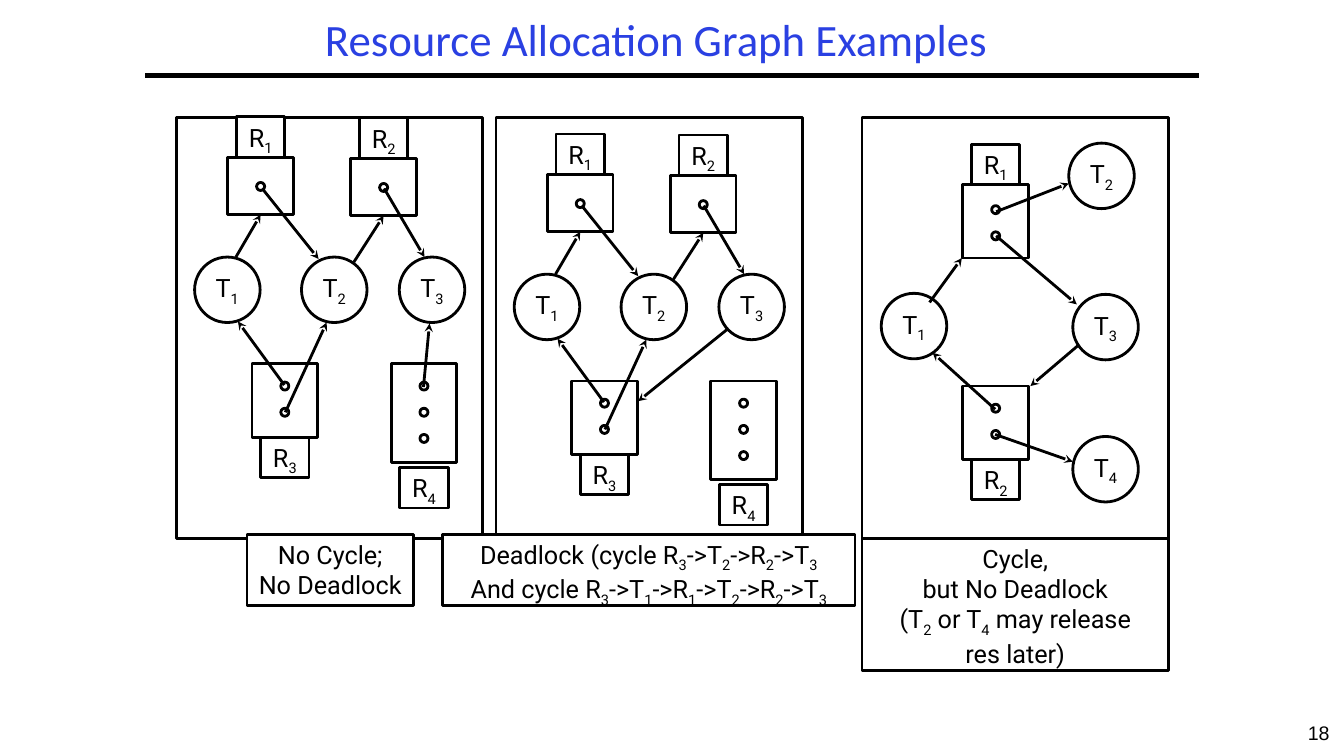
from pptx import Presentation
from pptx.dml.color import RGBColor
from pptx.enum.shapes import MSO_CONNECTOR, MSO_SHAPE
from pptx.enum.text import MSO_ANCHOR, MSO_AUTO_SIZE, PP_ALIGN
from pptx.oxml.ns import qn
from pptx.util import Inches, Pt
from lxml.etree import SubElement

BLACK = RGBColor(0, 0, 0)
WHITE = RGBColor(255, 255, 255)
TITLE_BLUE = RGBColor(0x2A, 0x40, 0xE2)

PANEL_TOP, PANEL_WIDTH, PANEL_HEIGHT = 1.17, 3.04, 4.17
NODE_SIZE = 0.65
DOT_SIZE, DOT_GAP = 0.08, 0.26
LABEL_WIDTH, LABEL_HEIGHT = 0.48, 0.4


def write_text(shape, text, font="Roboto", size=18, color=BLACK,
               anchor=MSO_ANCHOR.TOP, wrap=False, grow=False, spacing=None):
    """Fill a shape with centred lines; the character after "_" is a subscript."""
    frame = shape.text_frame
    frame.word_wrap = wrap
    frame.vertical_anchor = anchor
    frame.auto_size = MSO_AUTO_SIZE.SHAPE_TO_FIT_TEXT if grow else MSO_AUTO_SIZE.NONE
    for index, line in enumerate(text.split("\n")):
        paragraph = frame.paragraphs[0] if index == 0 else frame.add_paragraph()
        paragraph.alignment = PP_ALIGN.CENTER
        if spacing:
            paragraph.line_spacing = spacing
        plain, *subscripted = line.split("_")
        pieces = [(plain, False)]
        for piece in subscripted:
            pieces += [(piece[0], True), (piece[1:], False)]
        for words, is_subscript in pieces:
            if not words:
                continue
            run = paragraph.add_run()
            run.text = words
            run.font.name = font
            run.font.size = Pt(size)
            run.font.color.rgb = color
            if is_subscript:
                run._r.get_or_add_rPr().set("baseline", "-25000")


def draw_line(shapes, start, end, width=2, arrow=False):
    line = shapes.add_connector(MSO_CONNECTOR.STRAIGHT,
                                *(Inches(v) for v in (*start, *end)))
    line.line.color.rgb = BLACK
    line.line.width = Pt(width)
    if arrow:
        SubElement(line.line._get_or_add_ln(), qn("a:tailEnd"), type="stealth")
    SubElement(line._element.spPr, qn("a:effectLst"))
    return line


class GraphPanel:
    """A framed allocation graph; all positions are relative to its corner."""

    def __init__(self, slide, left, rise=0):
        self.shapes = slide.shapes.add_group_shape().shapes
        self.left, self.top = left, PANEL_TOP
        self.outline(MSO_SHAPE.RECTANGLE, 0, 0, PANEL_WIDTH, PANEL_HEIGHT)
        self.top += rise

    def outline(self, kind, x, y, width, height):
        shape = self.shapes.add_shape(kind, Inches(self.left + x), Inches(self.top + y),
                                      Inches(width), Inches(height))
        shape.shadow.inherit = False
        shape.fill.solid()
        shape.fill.fore_color.rgb = WHITE
        shape.line.color.rgb = BLACK
        shape.line.width = Pt(2)
        return shape

    def thread(self, name, x, y):
        circle = self.outline(MSO_SHAPE.OVAL, x, y, NODE_SIZE, NODE_SIZE)
        write_text(circle, name, anchor=MSO_ANCHOR.MIDDLE)

    def resource(self, name, x, y, height, label_dy, dots=1, first_dot=0.18):
        box = self.outline(MSO_SHAPE.RECTANGLE, x, y, NODE_SIZE, height)
        for index in range(dots):
            self.outline(MSO_SHAPE.OVAL, x + (NODE_SIZE - DOT_SIZE) / 2,
                         y + first_dot + index * DOT_GAP, DOT_SIZE, DOT_SIZE)
        label = self.outline(MSO_SHAPE.RECTANGLE, x + (NODE_SIZE - LABEL_WIDTH) / 2,
                             y + label_dy, LABEL_WIDTH, LABEL_HEIGHT)
        write_text(label, name, grow=True)
        return box

    def arrow(self, start, end, target=None):
        """Draw an arrow, joined to the target's bottom side when one is given."""
        points = [(self.left + x, self.top + y) for x, y in (start, end)]
        edge = draw_line(self.shapes, *points, arrow=True)
        if target is not None:
            edge.end_connect(target, 2)

    def caption(self, text, x, y, width, height, wrap=True):
        box = self.outline(MSO_SHAPE.RECTANGLE, x, y, width, height)
        write_text(box, text, wrap=wrap, grow=True)


def draw_three_thread_graph(slide, left, rise, last_edge):
    panel = GraphPanel(slide, left, rise)
    for number, x in enumerate((0.18, 1.24, 2.21), start=1):
        panel.thread(f"T_{number}", x, 1.38)
    r1 = panel.resource("R_1", 0.51, 0.39, 0.57, -LABEL_HEIGHT, first_dot=0.25)
    r2 = panel.resource("R_2", 1.73, 0.4, 0.57, -LABEL_HEIGHT, first_dot=0.25)
    panel.resource("R_3", 0.75, 2.44, 0.73, 0.73, dots=2)
    panel.resource("R_4", 2.13, 2.44, 0.98, 1.03, dots=3)
    panel.arrow((0.59, 1.38), (0.83, 0.97), r1)
    panel.arrow((0.85, 0.7), (1.41, 1.4))
    panel.arrow((1.76, 1.43), (2.01, 1), r2)
    panel.arrow((2.06, 0.7), (2.46, 1.38))
    panel.arrow((1.07, 2.65), (0.61, 2.02))
    panel.arrow((1.08, 2.92), (1.49, 2.03))
    panel.arrow(*last_edge)
    return panel


def draw_four_thread_graph(slide, left):
    panel = GraphPanel(slide, left)
    threads = ((0.19, 1.74), (2.05, 0.25), (2.09, 1.75), (2.09, 3.16))
    for number, (x, y) in enumerate(threads, start=1):
        panel.thread(f"T_{number}", x, y)
    panel.resource("R_1", 1, 0.66, 0.73, -LABEL_HEIGHT, dots=2, first_dot=0.21)
    panel.resource("R_2", 1, 2.66, 0.73, 0.73, dots=2)
    for start, end in (
        ((0.67, 1.83), (0.99, 1.39)),
        ((1.32, 2.89), (0.7, 2.33)),
        ((1.32, 3.14), (2.09, 3.41)),
        ((2.14, 2.26), (1.67, 2.66)),
        ((1.33, 1.17), (2.13, 1.85)),
        ((1.33, 0.93), (2.05, 0.65)),
    ):
        panel.arrow(start, end)
    return panel


def draw_heading(slide):
    draw_line(slide.shapes, (1.44, 0.75), (11.89, 0.75), width=3)
    title = slide.shapes.title
    title.left, title.top = Inches(1.99), Inches(0.14)
    title.width, title.height = Inches(9.04), Inches(0.56)
    write_text(title, "Resource Allocation Graph Examples", font="Calibri", size=32,
               color=TITLE_BLUE, anchor=MSO_ANCHOR.MIDDLE, wrap=True, spacing=0.9)


def draw_page_number(slide):
    page = slide.shapes.add_textbox(Inches(12.83), Inches(7.1), Inches(0.5), Inches(0.4))
    write_text(page, "18", font="Arial", size=14, wrap=True)


def main():
    deck = Presentation()
    deck.slide_width, deck.slide_height = Inches(13.33), Inches(7.5)
    slide = deck.slides.add_slide(deck.slide_layouts[5])
    draw_heading(slide)
    draw_page_number(slide)

    no_cycle = draw_three_thread_graph(slide, 1.75, 0, ((2.45, 2.67), (2.51, 2.04)))
    no_cycle.caption("No Cycle;\nNo Deadlock", 0.7, 4.13, 1.65, 0.71, wrap=False)

    deadlock = draw_three_thread_graph(slide, 4.92, 0.17, ((2.29, 1.93), (1.41, 2.64)))
    deadlock.caption("Deadlock (cycle R_3->T_2->R_2->T_3\n"
                     "And cycle R_3->T_1->R_1->T_2->R_2->T_3", -0.53, 3.96, 4.09, 0.71)

    cycle_only = draw_four_thread_graph(slide, 8.55)
    cycle_only.caption("Cycle,\nbut No Deadlock\n(T_2 or T_4 may release\nres later)",
                       0, PANEL_HEIGHT, PANEL_WIDTH, 1.31)
    deck.save("out.pptx")


if __name__ == "__main__":
    main()
